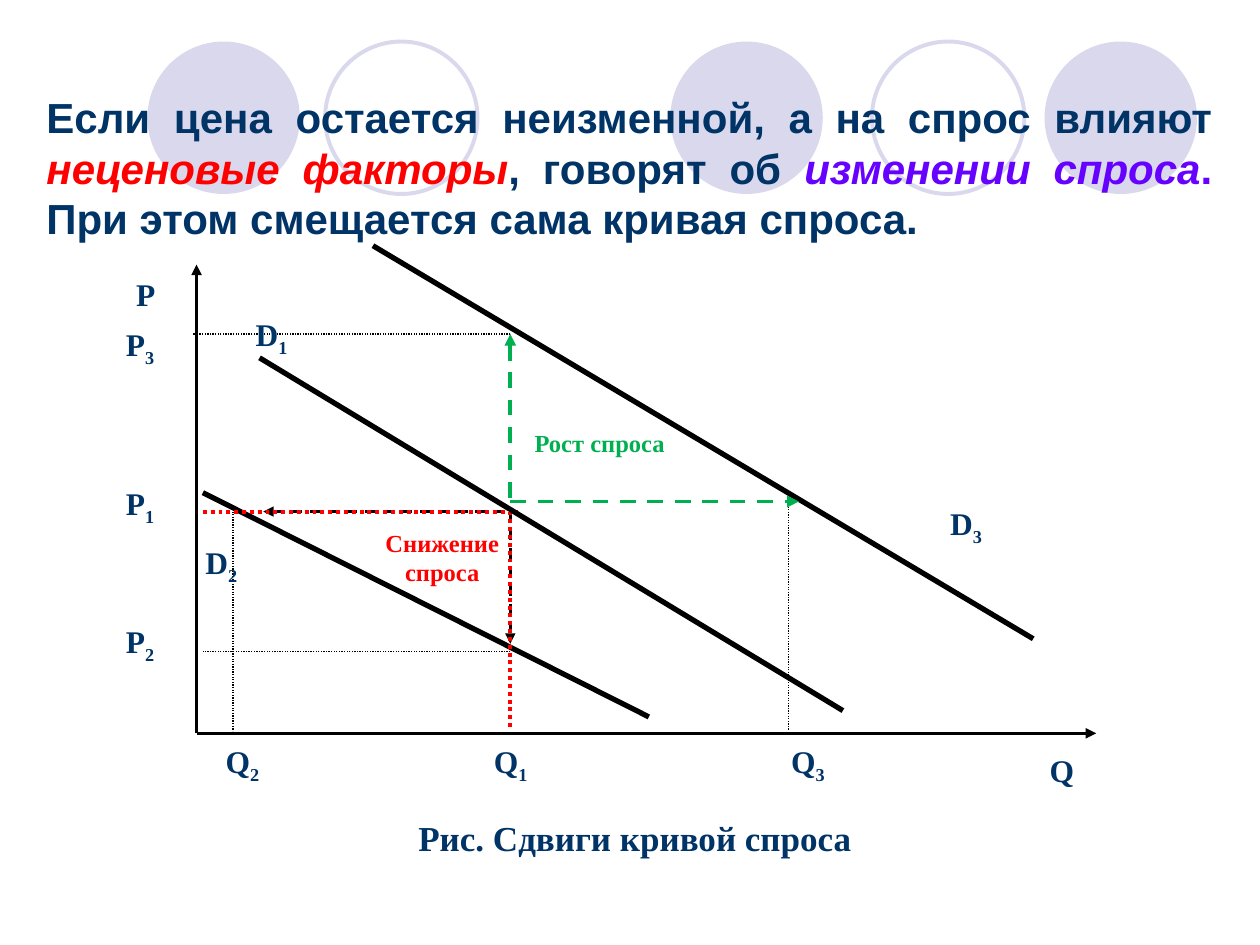
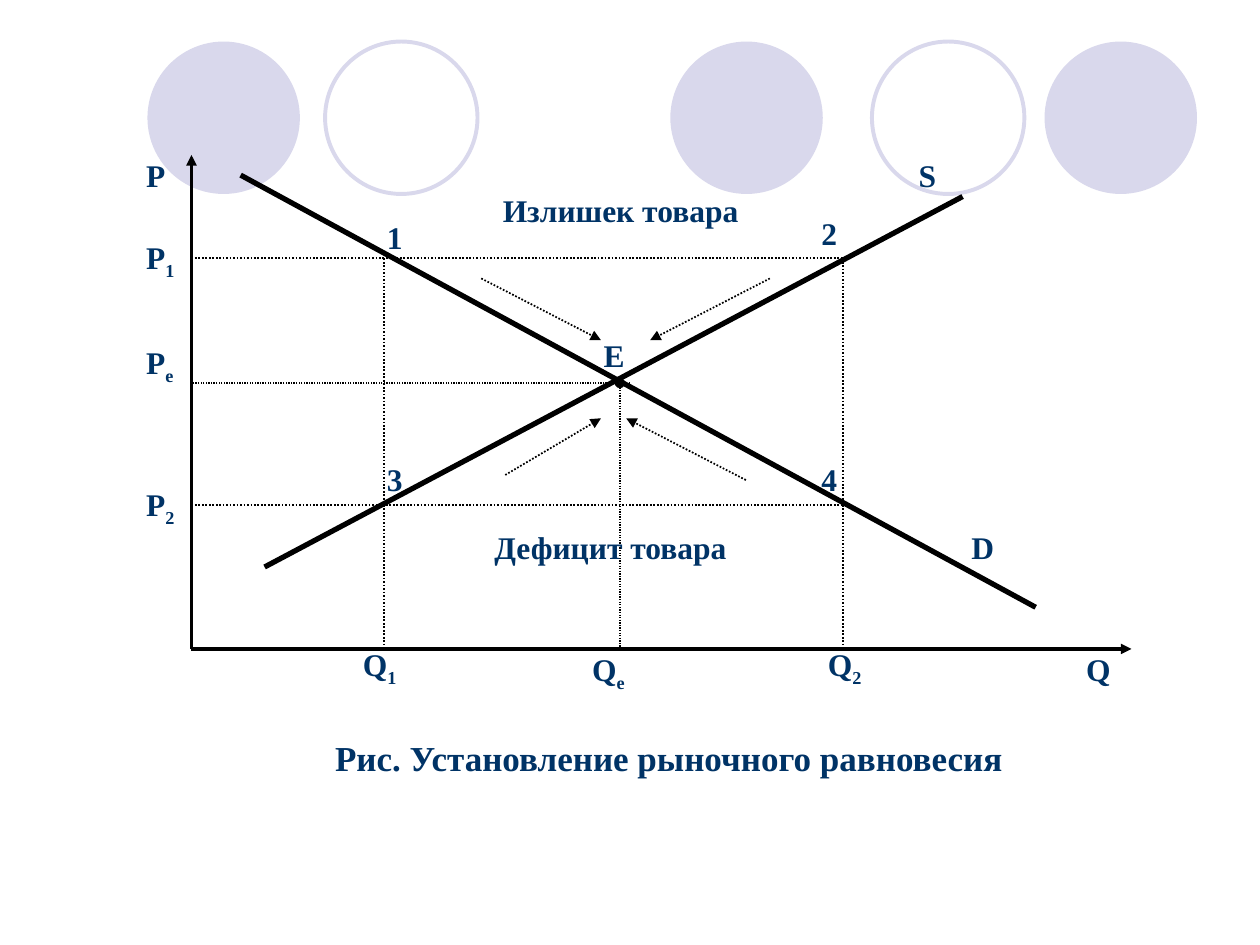
from dataclasses import dataclass
from typing import Optional

import pptx
import pptx.dml.color
import pptx.enum.dml
import pptx.enum.shapes
import pptx.enum.text
import pptx.oxml
import pptx.oxml.ns
import pptx.util

EMU_PER_PX = 9144
NAVY, BLACK, RED, GREEN = "003366", "000000", "FF0000", "00B050"
VIOLET, LAVENDER = "6600FF", "D9D8EC"
SERIF, SANS = "Times New Roman", "Arial"
DOT = pptx.enum.dml.MSO_LINE.ROUND_DOT
DASH = pptx.enum.dml.MSO_LINE.DASH
LEFT = pptx.enum.text.PP_ALIGN.LEFT
CENTER = pptx.enum.text.PP_ALIGN.CENTER
JUSTIFY = pptx.enum.text.PP_ALIGN.JUSTIFY


@dataclass
class Line:
    start: tuple[int, int]
    end: tuple[int, int]
    width: float = 3
    color: str = BLACK
    dash: Optional[pptx.enum.dml.MSO_LINE] = None
    head: str = ""
    tail: str = ""


@dataclass
class Piece:
    text: str
    color: str = NAVY
    italic: bool = False
    subscript: bool = False


@dataclass
class TextBox:
    left: int
    top: int
    width: int
    height: int
    pieces: list[Piece]
    size: int = 18
    font: str = SERIF
    alignment: pptx.enum.text.PP_ALIGN = CENTER
    inset: tuple[int, int] = (10, 5)


def px(length: int) -> pptx.util.Emu:
    return pptx.util.Emu(length * EMU_PER_PX)


def rgb(color: str) -> pptx.dml.color.RGBColor:
    return pptx.dml.color.RGBColor.from_string(color)


def add_child(parent, tag: str, **attributes: str) -> None:
    child = pptx.oxml.parse_xml(f"<{tag} {pptx.oxml.ns.nsdecls('a')}/>")
    for name, value in attributes.items():
        child.set(name, value)
    parent.append(child)


def draw_circles(slide) -> None:
    for left, filled in ((532, True), (829, True), (117, True), (692, False), (258, False)):
        shape = slide.shapes.add_shape(
            pptx.enum.shapes.MSO_SHAPE.OVAL, px(left), px(33), px(121), px(121)
        )
        shape.shadow.inherit = False
        if filled:
            shape.fill.solid()
            shape.fill.fore_color.rgb = rgb(LAVENDER)
            shape.line.fill.background()
        else:
            shape.fill.background()
            shape.line.color.rgb = rgb(LAVENDER)
            shape.line.width = pptx.util.Pt(2.25)


def draw_line(slide, line: Line) -> None:
    connector = slide.shapes.add_connector(
        pptx.enum.shapes.MSO_CONNECTOR.STRAIGHT,
        *(px(value) for value in line.start + line.end),
    )
    connector.line.color.rgb = rgb(line.color)
    connector.line.width = pptx.util.Pt(line.width)
    if line.dash is not None:
        connector.line.dash_style = line.dash
    properties = connector._element.spPr
    outline = properties.find(pptx.oxml.ns.qn("a:ln"))
    for tag, ending in (("a:headEnd", line.head), ("a:tailEnd", line.tail)):
        if ending:
            add_child(outline, tag, type=ending)
    add_child(properties, "a:effectLst")


def draw_text(slide, box: TextBox) -> None:
    shape = slide.shapes.add_textbox(px(box.left), px(box.top), px(box.width), px(box.height))
    frame = shape.text_frame
    frame.word_wrap = True
    frame.margin_left = frame.margin_right = px(box.inset[0])
    frame.margin_top = frame.margin_bottom = px(box.inset[1])
    paragraph = frame.paragraphs[0]
    paragraph.alignment = box.alignment
    for piece in box.pieces:
        run = paragraph.add_run()
        run.text = piece.text
        run.font.name = box.font
        run.font.size = pptx.util.Pt(box.size)
        run.font.bold = True
        run.font.italic = piece.italic
        run.font.color.rgb = rgb(piece.color)
        if piece.subscript:
            run.font._element.set("baseline", "-25000")


def label(left: int, top: int, name: str, index: str = "") -> TextBox:
    pieces = [Piece(name)]
    if index:
        pieces.append(Piece(index, subscript=True))
    return TextBox(left, top, 50, 37, pieces, alignment=LEFT, inset=(2, 1))


def axes(left: int, bottom: int, top: int, right: int) -> list[Line]:
    origin = (left, bottom)
    return [
        Line(origin, (left, top), 2, tail="triangle"),
        Line(origin, (right, bottom), 2, tail="triangle"),
    ]


def guide(start: tuple[int, int], end: tuple[int, int], width: float = 1, **ends: str) -> Line:
    return Line(start, end, width, dash=DOT, **ends)


def draw_slide(presentation, lines: list[Line], texts: list[TextBox]) -> None:
    slide = presentation.slides.add_slide(presentation.slide_layouts[6])
    draw_circles(slide)
    for line in lines:
        draw_line(slide, line)
    for text in texts:
        draw_text(slide, text)


def draw_demand_shifts(presentation) -> None:
    lines = [
        Line((161, 391), (515, 569)),
        Line((296, 195), (820, 507)),
        Line((209, 406), (405, 406), 1.5, dash=DASH, head="triangle"),
        Line((405, 406), (405, 511), 1.5, dash=DASH, tail="triangle"),
        guide((626, 398), (626, 580), 0.75),
        Line((161, 406), (411, 406), 2.25, RED, DOT),
        Line((405, 398), (634, 398), 2.25, GREEN, DASH, tail="triangle"),
        Line((405, 265), (405, 399), 2.25, GREEN, DASH, head="triangle"),
        Line((405, 406), (405, 580), 2.25, RED, DOT),
        guide((405, 265), (153, 265), 0.75),
        guide((405, 517), (161, 517), 0.75),
        guide((185, 406), (185, 580), 0.75),
        *axes(156, 582, 210, 870),
        Line((206, 284), (669, 564)),
    ]
    title = [
        Piece("Если цена остается неизменной, а на спрос влияют "),
        Piece("неценовые факторы", RED, italic=True),
        Piece(", говорят об "),
        Piece("изменении спроса", VIOLET, italic=True),
        Piece(". ", VIOLET),
        Piece("При этом смещается сама кривая спроса."),
    ]
    texts = [
        TextBox(27, 68, 945, 130, title, 24, SANS, JUSTIFY),
        label(201, 249, "D", "1"),
        label(161, 430, "D", "2"),
        label(752, 399, "D", "3"),
        label(106, 217, "P"),
        label(831, 595, "Q"),
        *(label(98, top, "P", index) for index, top in (("1", 383), ("2", 493), ("3", 257))),
        *(label(left, 588, "Q", index) for index, left in (("1", 390), ("2", 177), ("3", 626))),
        TextBox(280, 414, 142, 57, [Piece("Снижение спроса", RED)], 14),
        TextBox(405, 335, 142, 34, [Piece("Рост спроса", GREEN)], 14),
        TextBox(114, 643, 780, 44, [Piece("Рис. Сдвиги кривой спроса")], 20),
    ]
    draw_slide(presentation, lines, texts)


def draw_market_equilibrium(presentation) -> None:
    left, bottom = 152, 515
    low_quantity, high_quantity = 305, 669
    high_price, low_price = 205, 401
    pressures = [
        ((382, 221), (477, 270)),
        ((401, 377), (477, 332)),
        ((611, 221), (516, 270)),
        ((592, 381), (497, 332)),
    ]
    lines = [
        *axes(left, bottom, 123, 898),
        Line((191, 139), (822, 482)),
        Line((210, 450), (764, 156)),
        guide((500, 304), (left, 304), 0.75),
        guide((492, 304), (492, bottom), 0.75, head="oval"),
        *(guide((left, price), (high_quantity, price)) for price in (high_price, low_price)),
        *(guide((quantity, high_price), (quantity, bottom))
          for quantity in (low_quantity, high_quantity)),
        *(guide(start, end, tail="triangle") for start, end in pressures),
    ]
    texts = [
        label(114, 123, "P"),
        *(label(114, top, "P", index) for index, top in (("1", 188), ("e", 271), ("2", 384))),
        label(286, 511, "Q", "1"),
        label(468, 515, "Q", "e"),
        label(655, 511, "Q", "2"),
        label(860, 515, "Q"),
        label(477, 266, "E"),
        label(727, 123, "S"),
        label(769, 418, "D"),
        label(305, 172, "1"),
        label(650, 169, "2"),
        label(305, 364, "3"),
        label(650, 364, "4"),
        TextBox(98, 580, 866, 44, [Piece("Рис. Установление рыночного равновесия")], 20),
        TextBox(319, 414, 331, 40, [Piece("Дефицит товара")]),
        TextBox(327, 147, 331, 40, [Piece("Излишек товара")]),
    ]
    draw_slide(presentation, lines, texts)


def main() -> None:
    presentation = pptx.Presentation()
    presentation.slide_width = px(1000)
    presentation.slide_height = px(750)
    draw_demand_shifts(presentation)
    draw_market_equilibrium(presentation)
    presentation.save("out.pptx")


if __name__ == "__main__":
    main()
